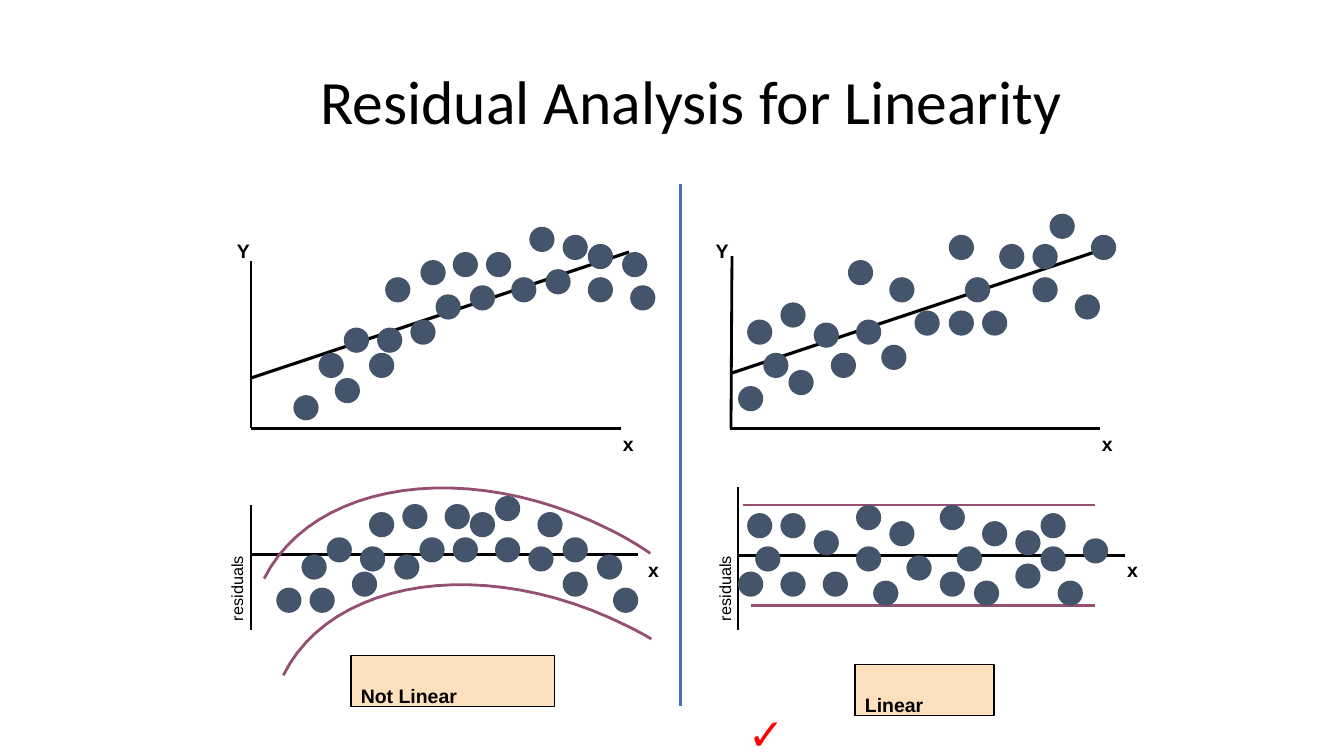
"""Build a slide comparing residual plots of a non-linear and a linear fit."""
import pptx
import pptx.util
import pptx.dml.color
import pptx.enum.text
import pptx.enum.shapes
import pptx.oxml.ns
import lxml.etree

BLACK = pptx.dml.color.RGBColor(0x00, 0x00, 0x00)
RED = pptx.dml.color.RGBColor(0xFF, 0x00, 0x00)
BLUE = pptx.dml.color.RGBColor(0x44, 0x72, 0xC4)
SLATE = pptx.dml.color.RGBColor(0x44, 0x54, 0x6A)
PLUM = pptx.dml.color.RGBColor(0x95, 0x4F, 0x72)
PEACH = pptx.dml.color.RGBColor(0xFD, 0xE0, 0xBD)

CM_PER_UNIT = 2.54
DOT_SIZE = 0.25
CURVE_STEPS = 24

TITLE = ("Residual Analysis for Linearity", (3.08, 0.5, 7.74, 1.08))

LINES = [
    (2.49, 5.01, 2.49, 6.25, BLACK, 2),
    (2.49, 5.5, 6.33, 5.5, BLACK, 2),
    (7.32, 5.51, 11.16, 5.51, BLACK, 2),
    (7.32, 4.83, 7.32, 6.25, BLACK, 2),
    (7.37, 5.01, 10.86, 5.01, PLUM, 2),
    (7.45, 6.01, 10.86, 6.01, PLUM, 2),
    (2.49, 2.59, 2.49, 4.25, BLACK, 2),
    (2.49, 4.25, 6.16, 4.25, BLACK, 2),
    (2.49, 3.75, 6.24, 2.5, BLACK, 2.25),
    (7.26, 2.54, 7.25, 4.25, BLACK, 2),
    (7.24, 4.25, 10.91, 4.25, BLACK, 2),
    (7.26, 3.7, 11.01, 2.45, BLACK, 2.25),
    (6.75, 1.83, 6.75, 7, BLUE, 2.25),
]

RESIDUAL_BANDS = [
    [(2.62, 5.74), (3.11, 4.77), (4.64, 4.55), (6.04, 5.25),
     (6.18, 5.32), (6.32, 5.4), (6.45, 5.49)],
    [(2.81, 6.7), (3.29, 5.73), (4.82, 5.51), (6.22, 6.21),
     (6.3, 6.25), (6.38, 6.29), (6.46, 6.34)],
]

DOTS = {
    "not linear residuals": [
        (2.74, 5.83), (3.07, 5.83), (4.66, 5.08), (4.91, 4.92), (5.24, 5.42), (3.49, 5.67),
        (5.33, 5.08), (5.58, 5.67), (5.58, 5.33), (5.92, 5.5), (4.91, 5.33), (4.16, 5.33),
        (4.41, 5), (3.99, 5), (2.99, 5.5), (3.24, 5.33), (3.57, 5.42), (4.49, 5.33),
        (3.66, 5.08), (6.08, 5.83), (3.91, 5.5)],
    "linear residuals": [
        (8.07, 5.26), (7.74, 5.09), (7.32, 5.67), (7.49, 5.42), (7.41, 5.09), (8.49, 5.42),
        (8.49, 5.01), (7.74, 5.67), (9.32, 5.01), (8.82, 5.17), (8.66, 5.76), (8.16, 5.67),
        (10.07, 5.26), (9.32, 5.67), (8.99, 5.51), (10.07, 5.59), (9.49, 5.42), (9.66, 5.76),
        (9.74, 5.17), (10.49, 5.76), (10.32, 5.09), (10.74, 5.34), (10.32, 5.42)],
    "not linear data": [
        (2.91, 3.92), (3.32, 3.75), (4.82, 2.5), (5.07, 2.75), (5.58, 2.33), (3.66, 3.5),
        (5.41, 2.67), (5.83, 2.75), (5.83, 2.42), (6.17, 2.5), (5.25, 2.25), (4.32, 2.92),
        (4.49, 2.5), (4.17, 2.58), (3.16, 3.5), (3.41, 3.25), (3.74, 3.25), (4.66, 2.83),
        (3.82, 2.75), (6.25, 2.83), (4.07, 3.17)],
    "linear data": [
        (7.32, 3.83), (7.57, 3.5), (9.41, 2.33), (9.57, 2.75), (10.24, 2.42), (7.82, 3.67),
        (9.74, 3.08), (10.24, 2.75), (10.41, 2.12), (9.91, 2.42), (8.74, 3.42), (8.82, 2.75),
        (8.41, 2.58), (7.41, 3.17), (7.74, 3), (8.07, 3.2), (9.07, 3.08), (8.49, 3.17),
        (10.66, 2.92), (8.24, 3.5), (10.82, 2.33), (9.41, 3.08)],
}

LABEL_FORMAT = {"name": "Arial", "size": pptx.util.Pt(24), "bold": True}
SIDE_FORMAT = {"name": "Arial", "size": pptx.util.Pt(20), "bold": False}
CHECK_FORMAT = {"name": "Arial", "size": pptx.util.Pt(54), "bold": False}
TITLE_FORMAT = {"name": "Calibri", "size": pptx.util.Pt(44), "bold": False}

VERDICTS = [("Not Linear", (3.48, 6.5, 2.02, 0.51)), ("Linear", (8.48, 6.59, 1.38, 0.51))]
LABELS = [
    ("x", (6.33, 5.25, 0.42, 0.5)),
    ("x", (11.08, 5.25, 0.44, 0.5)),
    ("x", (6.08, 4, 0.51, 0.5)),
    ("x", (10.83, 4, 0.43, 0.5)),
    ("Y", (2.25, 2.08, 0.42, 0.5)),
    ("Y", (7, 2.08, 0.42, 0.5)),
]
SIDE_LABELS = [("residuals", (1.5, 5.33, 1.43, 0.43)), ("residuals", (6.34, 5.33, 1.43, 0.43))]
CHECK = ("✓", (7.32, 6.42, 1.43, 1.01))


def lengths(values):
    return [pptx.util.Cm(CM_PER_UNIT * value) for value in values]


def write(box, text, formats, color=BLACK, subscript=True):
    frame = box.text_frame
    frame.word_wrap = True
    frame.vertical_anchor = pptx.enum.text.MSO_ANCHOR.TOP
    para = frame.paragraphs[0]
    para.alignment = pptx.enum.text.PP_ALIGN.LEFT
    span = para.add_run()
    span.text = text
    for name, value in formats.items():
        setattr(span.font, name, value)
    span.font.color.rgb = color
    if subscript:
        span.font._element.set("baseline", "-30000")
    return frame


def add_label(page, text, place, formats, color=BLACK, rotation=0, subscript=True):
    box = page.shapes.add_textbox(*lengths(place))
    box.rotation = rotation
    return write(box, text, formats, color, subscript)


def add_line(page, left, top, right, bottom, color, width):
    line = page.shapes.add_connector(
        pptx.enum.shapes.MSO_CONNECTOR.STRAIGHT, *lengths((left, top, right, bottom)))
    line.line.color.rgb = color
    line.line.width = pptx.util.Pt(width)
    lxml.etree.SubElement(line._element.spPr, pptx.oxml.ns.qn("a:effectLst"))


def add_preset(page, preset, place, fill):
    shape = page.shapes.add_shape(preset, *lengths(place))
    shape.shadow.inherit = False
    shape.fill.solid()
    shape.fill.fore_color.rgb = fill
    shape.line.fill.background()
    return shape


def bezier_point(controls, step):
    weight = step / CURVE_STEPS
    rest = 1 - weight
    factors = (rest ** 3, 3 * rest ** 2 * weight, 3 * rest * weight ** 2, weight ** 3)
    return lengths(sum(factor * value for factor, value in zip(factors, axis))
                   for axis in zip(*controls))


def add_curve(page, controls):
    points = [bezier_point(controls[start:start + 4], step)
              for start in range(0, len(controls) - 1, 3)
              for step in range(1, CURVE_STEPS + 1)]
    builder = page.shapes.build_freeform(*lengths(controls[0]))
    builder.add_line_segments(points, close=False)
    curve = builder.convert_to_shape()
    curve.shadow.inherit = False
    curve.fill.background()
    curve.line.color.rgb = PLUM
    curve.line.width = pptx.util.Pt(2)


def main():
    deck = pptx.Presentation()
    deck.slide_width, deck.slide_height = lengths((13.33, 7.5))
    page = deck.slides.add_slide(deck.slide_layouts[6])
    frame = add_label(page, *TITLE, TITLE_FORMAT, subscript=False)
    frame.vertical_anchor = pptx.enum.text.MSO_ANCHOR.MIDDLE
    frame.paragraphs[0].line_spacing = 0.9
    for text, place in VERDICTS:
        box = add_preset(page, pptx.enum.shapes.MSO_SHAPE.RECTANGLE, place, PEACH)
        box.line.color.rgb = BLACK
        box.line.width = pptx.util.Pt(1)
        write(box, text, LABEL_FORMAT)
    add_label(page, *CHECK, CHECK_FORMAT, RED)
    for line in LINES:
        add_line(page, *line)
    for controls in RESIDUAL_BANDS:
        add_curve(page, controls)
    for dots in DOTS.values():
        for left, top in dots:
            add_preset(page, pptx.enum.shapes.MSO_SHAPE.OVAL,
                       (left, top, DOT_SIZE, DOT_SIZE), SLATE)
    for text, place in LABELS:
        add_label(page, text, place, LABEL_FORMAT)
    for text, place in SIDE_LABELS:
        add_label(page, text, place, SIDE_FORMAT, rotation=270)
    deck.save("out.pptx")


if __name__ == "__main__":
    main()
